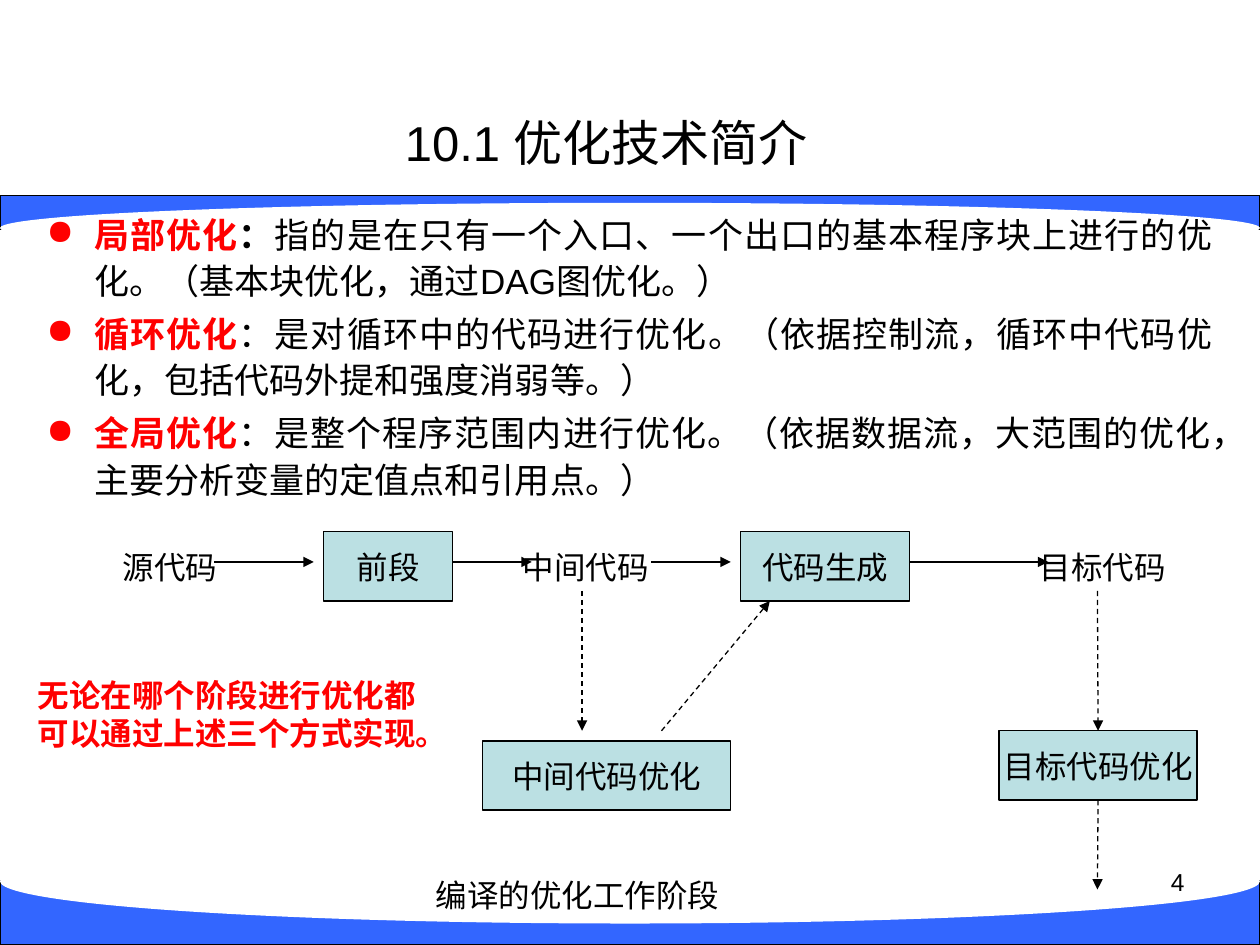
from lxml.etree import SubElement
from pptx import Presentation
from pptx.dml.color import RGBColor
from pptx.enum.dml import MSO_LINE
from pptx.enum.shapes import MSO_CONNECTOR, MSO_SHAPE
from pptx.enum.text import MSO_ANCHOR, MSO_AUTO_SIZE, PP_ALIGN
from pptx.oxml.ns import qn
from pptx.util import Inches, Pt

COLORS = {"black": "000000", "red": "FF0000", "white": "FFFFFF",
          "band": "3366FF", "box": "BBE0E3"}
FONT = "Arial"

TITLE = "10.1 优化技术简介"
# Each method: red bold term, colon, whether the colon is bold, explanation
METHODS = [
    ("局部优化", "：", True,
     "指的是在只有一个入口、一个出口的基本程序块上进行的优化。（基本块优化，通过DAG图优化。）"),
    ("循环优化", "：", False,
     "是对循环中的代码进行优化。（依据控制流，循环中代码优化，包括代码外提和强度消弱等。）"),
    ("全局优化", "：", False,
     "是整个程序范围内进行优化。（依据数据流，大范围的优化，主要分析变量的定值点和引用点。）"),
]
NOTE = ["无论在哪个阶段进行优化都", "可以通过上述三个方式实现。"]
CAPTION = "编译的优化工作阶段"
SLIDE_NUMBER = "4"

# Band rectangle (top, height), then the white ellipse over it (top, height)
BANDS = [((1.55, 0.27), (1.61, 0.4)), ((6.99, 0.51), (6.66, 0.67))]

ROW_TOP, NODE_HEIGHT, ARROW_Y = 4.22, 0.55, 4.46
STAGES = {  # text: left, top, width
    "前段": (2.57, ROW_TOP, 1.02),
    "中间代码优化": (3.83, 5.88, 1.97),
    "代码生成": (5.88, ROW_TOP, 1.34),
    "目标代码优化": (7.93, 5.8, 1.57),
}
CODES = {"源代码": 0.84, "中间代码": 4.14, "目标代码": 8.24}
CODE_WIDTH = 1.02
FLOW_ARROWS = [(1.7, 2.49), (3.59, 4.22), (5.17, 5.8), (7.22, 8.32)]
# Start, end, stage joined at the start, stage joined at the end
DASHED_ARROWS = [
    ((4.62, 4.69), (4.62, 5.8), None, None),
    ((5.25, 5.8), (6.11, 4.77), None, None),
    ((8.71, 4.69), (8.71, 5.8), None, "目标代码优化"),
    ((8.71, 6.35), (8.71, 7.06), "目标代码优化", None),
]


def color(name):
    return RGBColor.from_string(COLORS[name])


def write(shape, paragraphs, size=18, align=PP_ALIGN.LEFT,
          anchor=MSO_ANCHOR.TOP, wrap=True):
    """Fill a shape; each paragraph is a list of (text, color name, bold)."""
    frame = shape.text_frame
    frame.auto_size = MSO_AUTO_SIZE.NONE
    frame.word_wrap = wrap
    frame.vertical_anchor = anchor
    for index, runs in enumerate(paragraphs):
        paragraph = frame.add_paragraph() if index else frame.paragraphs[0]
        paragraph.alignment = align
        for text, color_name, bold in runs:
            run = paragraph.add_run()
            run.text = text
            run.font.name = FONT
            run.font.size = Pt(size)
            run.font.bold = bold
            run.font.color.rgb = color(color_name)
    return frame


def add_text(slide, bounds, paragraphs, **text_format):
    box = slide.shapes.add_textbox(*map(Inches, bounds))
    return write(box, paragraphs, **text_format)


def add_filled(slide, kind, bounds, fill, outlined=True):
    shape = slide.shapes.add_shape(kind, *map(Inches, bounds))
    shape.shadow.inherit = False
    shape.fill.solid()
    shape.fill.fore_color.rgb = color(fill)
    if outlined:
        shape.line.color.rgb = color("black")
        shape.line.width = Pt(0.75)
    else:
        shape.line.fill.background()
    return shape


def add_arrow(slide, start, end, dashed=False):
    arrow = slide.shapes.add_connector(
        MSO_CONNECTOR.STRAIGHT, *map(Inches, start + end))
    arrow.line.color.rgb = color("black")
    arrow.line.width = Pt(0.75)
    if dashed:
        arrow.line.dash_style = MSO_LINE.DASH
    properties = arrow.element.spPr
    SubElement(properties.find(qn("a:ln")), qn("a:tailEnd"), type="triangle")
    SubElement(properties, qn("a:effectLst"))
    return arrow


def add_bullet(paragraph):
    properties = paragraph._p.get_or_add_pPr()
    properties.set("marL", str(Inches(0.38)))
    properties.set("indent", str(-Inches(0.38)))
    bullet_color = SubElement(properties, qn("a:buClr"))
    SubElement(bullet_color, qn("a:srgbClr"), val=COLORS["red"])
    SubElement(properties, qn("a:buChar"), char="●")


def add_methods(slide):
    paragraphs = [
        [(term, "red", True), (colon, "black", bold_colon),
         (explanation, "black", False)]
        for term, colon, bold_colon, explanation in METHODS
    ]
    frame = add_text(slide, (0.27, 1.61, 9.45, 2.6), paragraphs,
                     size=20, align=PP_ALIGN.JUSTIFY)
    for index, paragraph in enumerate(frame.paragraphs):
        add_bullet(paragraph)
        paragraph.line_spacing = 1.1
        paragraph.space_before = Pt(4 if index else 0)


def add_flow(slide):
    centred = {"align": PP_ALIGN.CENTER, "anchor": MSO_ANCHOR.MIDDLE,
               "wrap": False}
    boxes = {}
    for text, bounds in STAGES.items():
        boxes[text] = add_filled(slide, MSO_SHAPE.RECTANGLE,
                                 bounds + (NODE_HEIGHT,), "box")
        write(boxes[text], [[(text, "black", False)]], **centred)
    for text, left in CODES.items():
        add_text(slide, (left, ROW_TOP, CODE_WIDTH, NODE_HEIGHT),
                 [[(text, "black", False)]], **centred)
    for start, end in FLOW_ARROWS:
        add_arrow(slide, (start, ARROW_Y), (end, ARROW_Y))
    for start, end, source, target in DASHED_ARROWS:
        arrow = add_arrow(slide, start, end, dashed=True)
        if source:
            arrow.begin_connect(boxes[source], 2)
        if target:
            arrow.end_connect(boxes[target], 0)


def main():
    presentation = Presentation()
    presentation.slide_width = Inches(10)
    presentation.slide_height = Inches(7.5)
    slide = presentation.slides.add_slide(presentation.slide_layouts[5])

    for band, ellipse in BANDS:
        for kind, (top, height), fill, outlined in (
                (MSO_SHAPE.RECTANGLE, band, "band", True),
                (MSO_SHAPE.OVAL, ellipse, "white", False)):
            add_filled(slide, kind, (0, top, 10, height), fill, outlined)

    title = slide.shapes.title
    title.left, title.top, title.width, title.height = map(
        Inches, (0.31, 0.86, 9, 0.54))
    write(title, [[(TITLE, "black", False)]], size=28,
          align=PP_ALIGN.CENTER, anchor=MSO_ANCHOR.MIDDLE)

    add_methods(slide)
    add_text(slide, (7.17, 6.83, 2.33, 0.52),
             [[(SLIDE_NUMBER, "black", False)]], size=14, align=PP_ALIGN.RIGHT)
    add_flow(slide)
    add_text(slide, (3.36, 6.9, 2.45, 0.4),
             [[(CAPTION, "black", False)]], wrap=False)
    add_text(slide, (0.2, 5.32, 3.47, 0.7),
             [[(line, "red", True)] for line in NOTE])
    presentation.save("out.pptx")


if __name__ == "__main__":
    main()
